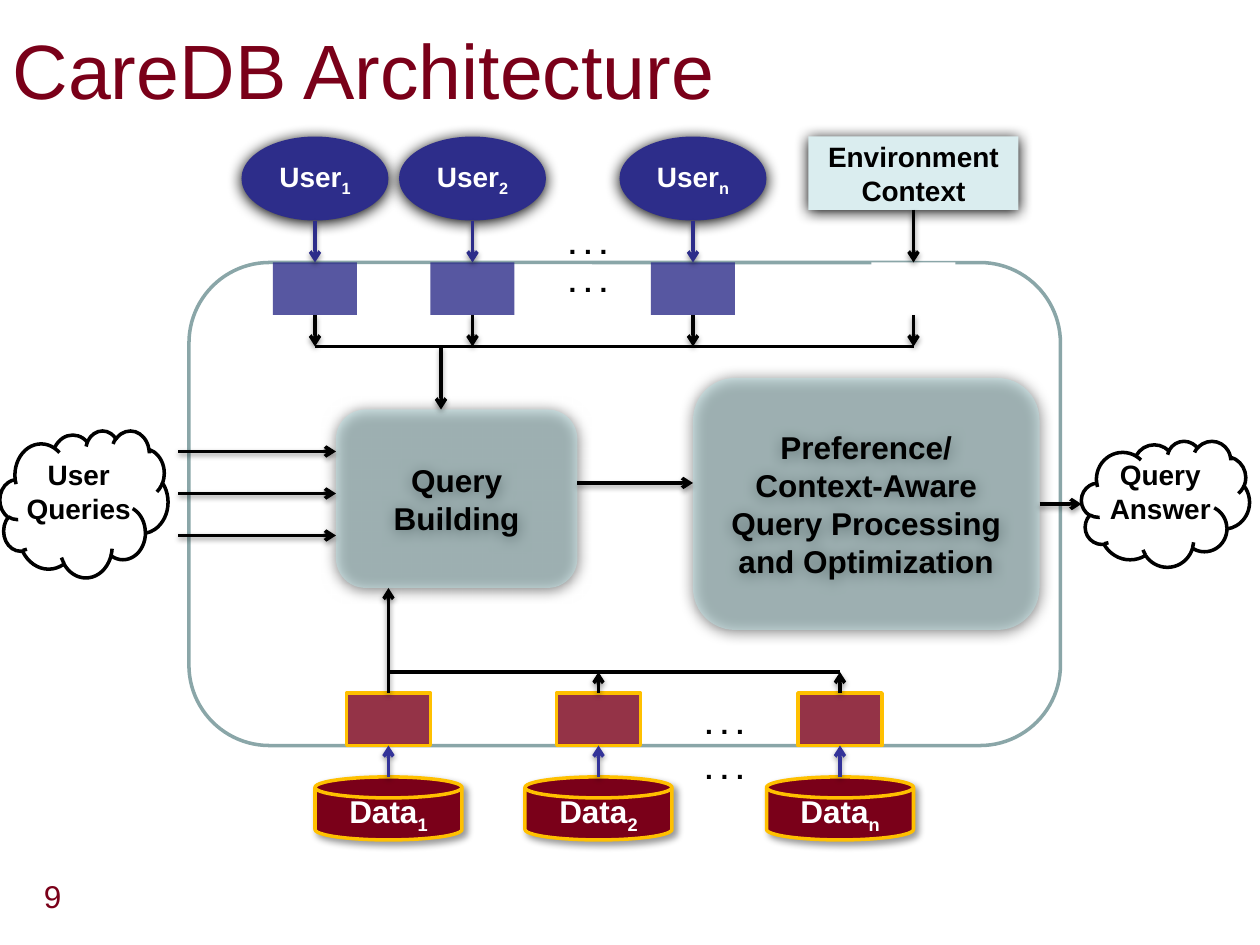
from lxml.etree import SubElement
from pptx import Presentation
from pptx.dml.color import RGBColor
from pptx.enum.shapes import MSO_CONNECTOR, MSO_SHAPE as Shape
from pptx.enum.text import MSO_ANCHOR, PP_ALIGN
from pptx.oxml.ns import qn
from pptx.util import Pt

COLORS = {
    "maroon": "7A0019", "gold": "FFC000", "navy": "2D2D8A", "blue": "333399",
    "pale": "DAEDEF", "mist": "BBE0E3", "frame": "8AA6A8",
    "black": "000000", "white": "FFFFFF",
}
# Shadows: opacity in percent, blur, distance, angle in degrees
GLOW = (100, 8.5, 1, 90)
DISK_SHADOW = (40, 4, 3, 45)
LINE_SHADOW = (38, 3.1, 1.6, 90)

TITLE = "CareDB Architecture"
PAGE_NUMBER = "9"
USERS = [("1", 180), ("2", 270), ("n", 396)]   # subscript, centre x
SOURCES = [("1", 222), ("2", 342), ("n", 480)]
CONTEXT_X = 522
CLOUDS = [  # cloud bounds, label bounds, label
    ((618, 252, 96, 72), (618, 258, 90, 46), ["Query", "Answer"]),
    ((0, 246, 96, 84), (6, 258, 78, 46), ["User", "Queries"]),
]
ENGINES = [
    ((192, 234, 138, 102), ["Query", "Building"]),
    ((396, 216, 198, 144),
     ["Preference/Context-Aware", "Query Processing and Optimization"]),
]
DOTS = [(312, 126, 48), (312, 147.6, 48), (384, 400, 60), (384, 426, 60)]
FLOWS = [  # start x, start y, end x, end y
    (252, 198, 252, 234), (222, 396, 222, 336),
    (330, 276, 396, 276), (594, 288, 618, 288),
    (102, 258, 192, 258), (102, 282, 192, 282), (102, 306, 192, 306),
]
FRAME = (108, 150, 498, 276)
FRAME_TOP, FRAME_BOTTOM = 150, 426
NODE_TOP, NODE_WIDTH = 78, 84
USER_HEIGHT, CONTEXT_HEIGHT = 48, 42
DISK_TOP, DISK_HEIGHT = 444, 36
PORT_WIDTH, PORT_HEIGHT = 48, 30
INPUT_BUS, DATA_BUS = 198, 384


def rgb(name):
    return RGBColor.from_string(COLORS[name])


def fill_effects(effects, shadow):
    opacity, blur, distance, angle = shadow
    outer = SubElement(effects, qn("a:outerShdw"), blurRad=str(Pt(blur)),
                       dist=str(Pt(distance)), dir=str(angle * 60000),
                       algn="ctr", rotWithShape="0")
    color = SubElement(outer, qn("a:srgbClr"), val=COLORS["black"])
    SubElement(color, qn("a:alpha"), val=str(opacity * 1000))


def add_span(para, text, size, color, bold=True):
    span = para.add_run()
    span.text = text
    font = span.font
    font.name, font.size, font.bold = "Arial", Pt(size), bold
    font.color.rgb = rgb(color)
    return span


def write(shape, lines, size, color="black", subscript=None):
    frame = shape.text_frame
    frame.word_wrap = True
    for index, line in enumerate(lines):
        para = frame.add_paragraph() if index else frame.paragraphs[0]
        para.alignment = PP_ALIGN.CENTER
        add_span(para, line, size, color)
        if subscript:
            span = add_span(para, subscript, size, color)
            span.font._element.set("baseline", "-25000")


def add_box(page, kind, bounds, fill=None, line=None, opacity=None, shadow=None):
    box = page.shapes.add_shape(kind, *map(Pt, bounds))
    box.shadow.inherit = False
    box.text_frame.vertical_anchor = MSO_ANCHOR.MIDDLE
    properties = box.element.spPr
    if fill:
        box.fill.solid()
        box.fill.fore_color.rgb = rgb(fill)
        if opacity:
            color = properties.find(qn("a:solidFill")).find(qn("a:srgbClr"))
            SubElement(color, qn("a:alpha"), val=str(opacity * 1000))
    else:
        box.fill.background()
    if line:
        box.line.color.rgb = rgb(line)
        box.line.width = Pt(2)
    else:
        box.line.fill.background()
    if shadow:
        fill_effects(properties.find(qn("a:effectLst")), shadow)
    return box


def add_label(page, bounds, lines):
    label = page.shapes.add_textbox(*map(Pt, bounds))
    write(label, lines, 16)


def add_line(page, ends, color="black", arrow=True):
    line = page.shapes.add_connector(MSO_CONNECTOR.STRAIGHT, *map(Pt, ends))
    line.line.color.rgb = rgb(color)
    line.line.width = Pt(2)
    properties = line.element.spPr
    effects = SubElement(properties, qn("a:effectLst"))
    if arrow:
        SubElement(properties.find(qn("a:ln")), qn("a:tailEnd"), type="arrow")
        fill_effects(effects, LINE_SHADOW)


def centred(x, top, width, height):
    return x - width / 2, top, width, height


def add_port(page, x, top, fill, line=None, opacity=80):
    add_box(page, Shape.RECTANGLE, centred(x, top, PORT_WIDTH, PORT_HEIGHT),
            fill, line, opacity)


def add_title(page):
    title = page.shapes.title
    title.left, title.top, title.width, title.height = Pt(0), Pt(0), Pt(720), Pt(78)
    title.text_frame.vertical_anchor = MSO_ANCHOR.MIDDLE
    para = title.text_frame.paragraphs[0]
    para.alignment = PP_ALIGN.LEFT
    add_span(para, TITLE, 44, "maroon", bold=False)


def add_inputs(page):
    """Users and context, each feeding the upper bus through a port."""
    for subscript, x in USERS:
        user = add_box(page, Shape.OVAL,
                       centred(x, NODE_TOP, NODE_WIDTH, USER_HEIGHT),
                       "navy", shadow=GLOW)
        write(user, ["User"], 16, "white", subscript)
        add_port(page, x, FRAME_TOP, "navy")
        add_line(page, (x, NODE_TOP + USER_HEIGHT, x, FRAME_TOP), "navy")
    context = add_box(page, Shape.RECTANGLE,
                      centred(CONTEXT_X, NODE_TOP, 120, CONTEXT_HEIGHT),
                      "pale", shadow=GLOW)
    write(context, ["Environment", "Context"], 16)
    add_port(page, CONTEXT_X, FRAME_TOP, "white", opacity=None)
    add_line(page, (CONTEXT_X, NODE_TOP + CONTEXT_HEIGHT, CONTEXT_X, FRAME_TOP))

    centres = [x for _, x in USERS] + [CONTEXT_X]
    add_line(page, (centres[0], INPUT_BUS, centres[-1], INPUT_BUS), arrow=False)
    for x in centres:
        add_line(page, (x, FRAME_TOP + PORT_HEIGHT, x, INPUT_BUS))


def add_sources(page):
    """Data stores, each feeding the lower bus through a port."""
    port_top = FRAME_BOTTOM - PORT_HEIGHT
    for subscript, x in SOURCES:
        disk = add_box(page, Shape.FLOWCHART_MAGNETIC_DISK,
                       centred(x, DISK_TOP, NODE_WIDTH, DISK_HEIGHT),
                       "maroon", "gold", shadow=DISK_SHADOW)
        write(disk, ["Data"], 18, "white", subscript)
        add_port(page, x, port_top, "maroon", "gold")
        add_line(page, (x, DISK_TOP, x, FRAME_BOTTOM), "blue")
    add_line(page, (SOURCES[0][1], DATA_BUS, SOURCES[-1][1], DATA_BUS), arrow=False)
    for _, x in SOURCES[1:]:
        add_line(page, (x, port_top, x, DATA_BUS))


def main():
    deck = Presentation()
    deck.slide_width, deck.slide_height = Pt(720), Pt(540)
    page = deck.slides.add_slide(deck.slide_layouts[5])
    add_title(page)
    number = page.shapes.add_textbox(Pt(18), Pt(497.5), Pt(36.7), Pt(29))
    add_span(number.text_frame.paragraphs[0], PAGE_NUMBER, 18, "maroon", bold=False)

    for bounds, label_bounds, lines in CLOUDS:
        add_box(page, Shape.CLOUD, bounds, "white", "black")
    add_box(page, Shape.ROUNDED_RECTANGLE, FRAME, line="frame")
    add_sources(page)
    add_inputs(page)
    for bounds, lines in ENGINES:
        engine = add_box(page, Shape.ROUNDED_RECTANGLE, bounds, "mist",
                         opacity=50, shadow=GLOW)
        write(engine, lines, 18)
    for ends in FLOWS:
        add_line(page, ends)
    for bounds, label_bounds, lines in CLOUDS:
        add_label(page, label_bounds, lines)
    for left, top, width in DOTS:
        add_label(page, (left, top, width, 26.6), [". . ."])
    deck.save("out.pptx")


if __name__ == "__main__":
    main()
